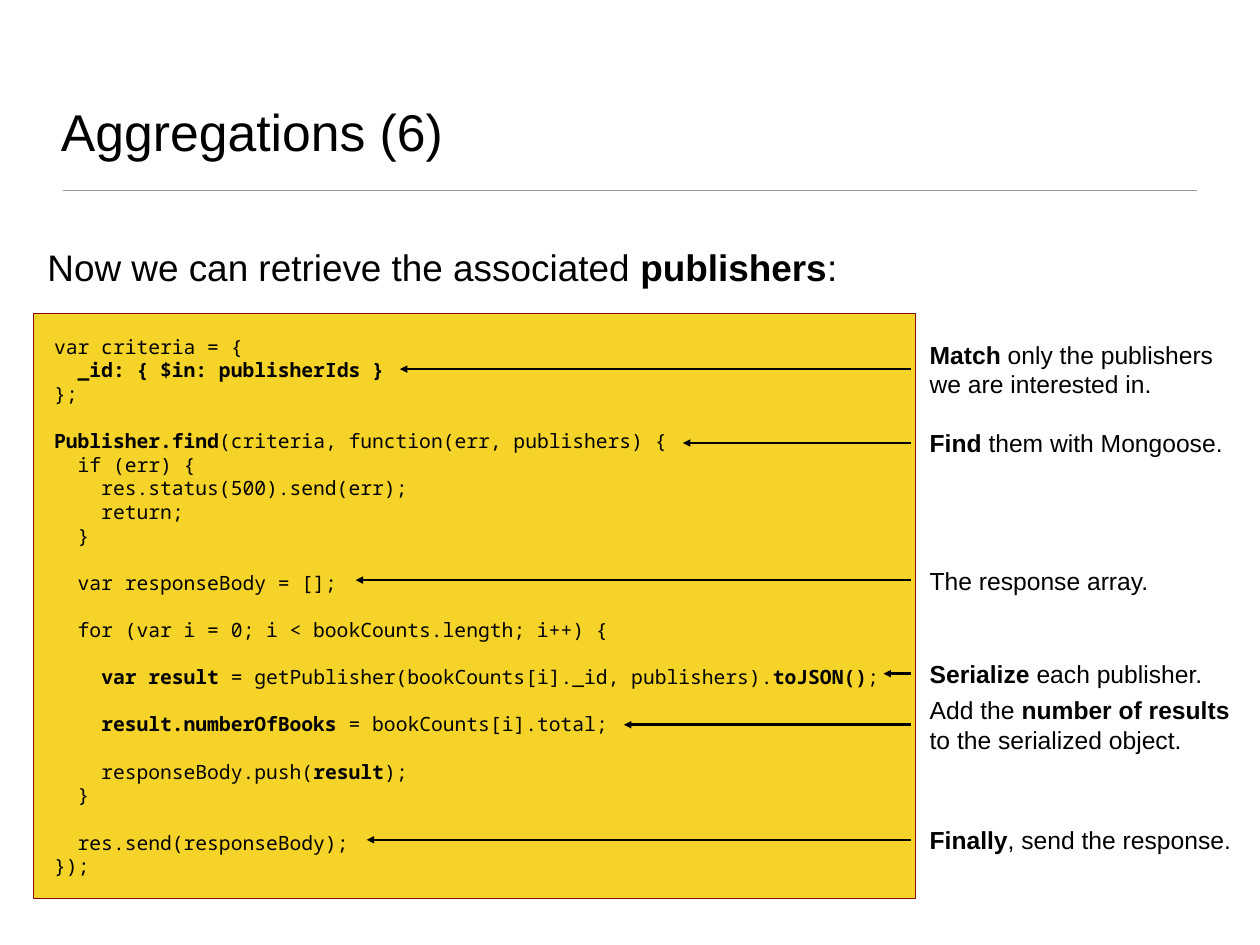
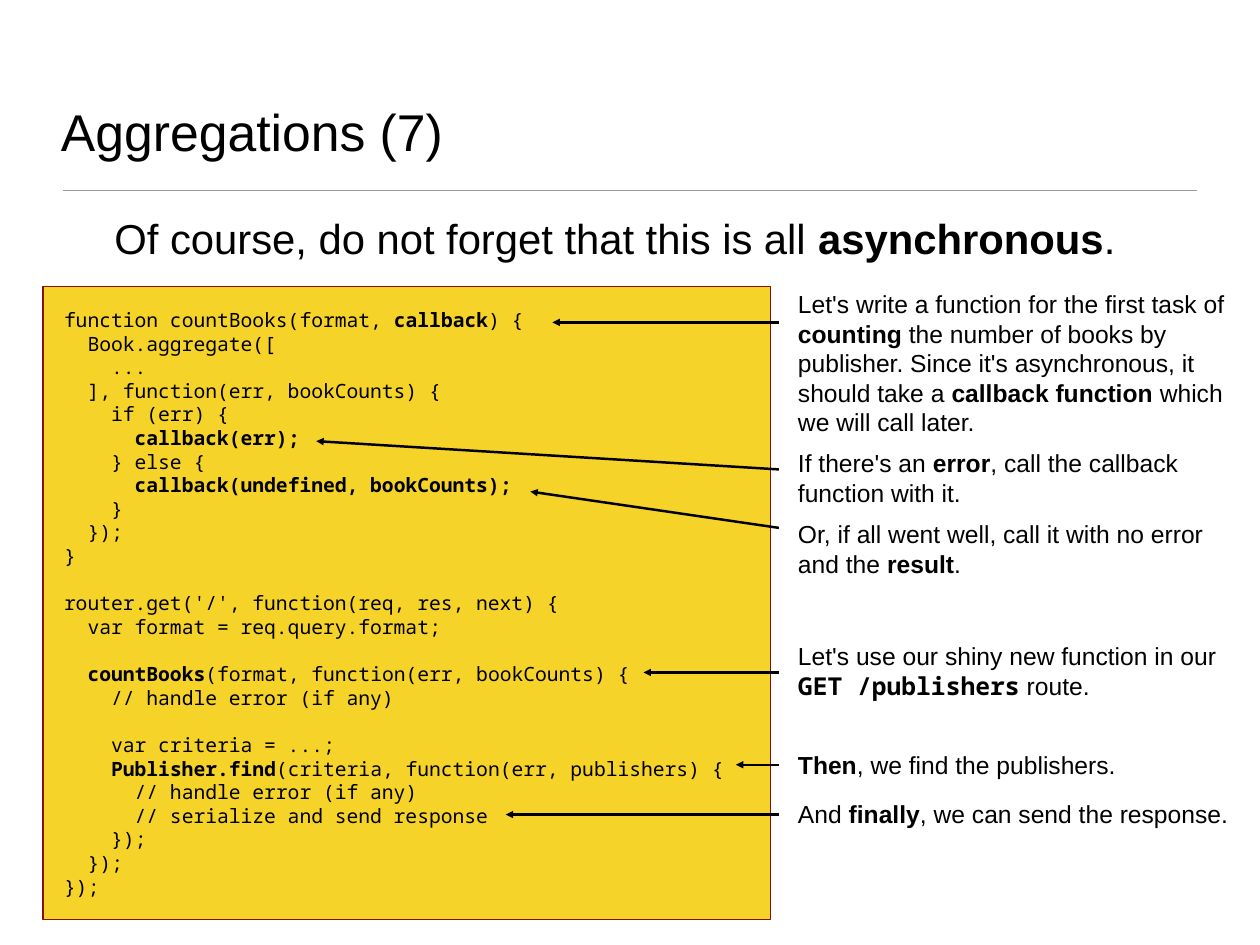
from lxml import etree
from pptx import Presentation
from pptx.dml.color import RGBColor
from pptx.enum.shapes import MSO_CONNECTOR, MSO_SHAPE
from pptx.enum.text import MSO_ANCHOR, MSO_AUTO_SIZE, PP_ALIGN
from pptx.oxml.ns import qn
from pptx.util import Pt

STRAIGHT, RECTANGLE = MSO_CONNECTOR.STRAIGHT, MSO_SHAPE.RECTANGLE
MIDDLE, BOTTOM = MSO_ANCHOR.MIDDLE, MSO_ANCHOR.BOTTOM
NO_AUTOFIT, LEFT = MSO_AUTO_SIZE.NONE, PP_ALIGN.LEFT

BLACK = RGBColor(0x00, 0x00, 0x00)
GRAY = RGBColor(0x9A, 0x9A, 0x9A)
YELLOW = RGBColor(0xF5, 0xD3, 0x28)
DARK_RED = RGBColor(0x85, 0x10, 0x01)

TEXT_FONT, CODE_FONT = "Arial", "Noto Sans Mono"
LINE_HEIGHT = 1.2
TEXT_INSET, CODE_INSET = 4.5, 17
ARROW_GAP = 11
TITLE_ONLY = 5

FIND_CODE = """\
var criteria = {
  **_id: { $in: publisherIds }**
};

**Publisher.find**(criteria, function(err, publishers) {
  if (err) {
    res.status(500).send(err);
    return;
  }

  var responseBody = [];

  for (var i = 0; i < bookCounts.length; i++) {

    **var result** = getPublisher(bookCounts[i]._id, publishers).**toJSON()**;

    **result.numberOfBooks** = bookCounts[i].total;

    responseBody.push(**result**);
  }

  res.send(responseBody);
});"""

ASYNC_CODE = """\
function countBooks(format, **callback**) {
  Book.aggregate([
    ...
  ], function(err, bookCounts) {
    if (err) {
      **callback(err);**
    } else {
      **callback(undefined, bookCounts);**
    }
  });
}

router.get('/', function(req, res, next) {
  var format = req.query.format;

  **countBooks**(format, function(err, bookCounts) {
    // handle error (if any)

    var criteria = ...;
    **Publisher.find**(criteria, function(err, publishers) {
      // handle error (if any)
      // serialize and send response
    });
  });
});"""

# Each callout: text, vertical centre, height, arrow tip x,
# then the arrow's start and tip heights where they differ from the centre.
FIND_CALLOUTS = [
    ("**Match** only the publishers we are interested in.", 300, 56, 325),
    ("**Find** them with Mongoose.", 360, 56, 555),
    ("The response array.", 471.5, 32, 289),
    ("**Serialize** each publisher.", 547.5, 32, 718),
    ("Add the **number of results** to the serialized object.", 589, 80, 507),
    ("**Finally**, send the response.", 682.5, 56, 298),
]

ASYNC_CALLOUTS = [
    ("Let's write a function for the first task of **counting** the number of "
     "books by publisher. Since it's asynchronous, it should take a "
     "**callback function** which we will call later.", 295, 152, 449, 262, 262),
    ("If there's an **error**, call the callback function with it.",
     388, 56, 257, 381.5, 358.5),
    ("Or, if all went well, call it with no error and the **result**.",
     446, 56, 431, 429, 399.5),
    ("Let's use our shiny new function in our **`GET /publishers** route.",
     545, 56, 523, 546.5, 546.5),
    ("**Then**, we find the publishers.", 621.5, 32, 598),
    ("And **finally**, we can send the response.", 661, 56, 411, 662, 662),
]


def set_formats(target, formats):
    for name, value in formats.items():
        setattr(target, name, value)


class Deck:
    def __init__(self):
        self.presentation = Presentation()
        set_formats(self.presentation,
                    {"slide_width": Pt(1024), "slide_height": Pt(768)})
        self.slide = None

    def add_slide(self, title):
        layout = self.presentation.slide_layouts[TITLE_ONLY]
        self.slide = self.presentation.slides.add_slide(layout)
        self.line((51, 155), (973, 155), GRAY, 1)
        placeholder = self.slide.shapes.title
        set_formats(placeholder, {"left": Pt(45), "top": Pt(26),
                                  "width": Pt(934), "height": Pt(110)})
        self.fill_text(placeholder, title, 42, anchor=BOTTOM)

    def fill_text(self, shape, text, size, font=TEXT_FONT, inset=TEXT_INSET,
                  anchor=MIDDLE):
        """Fill the shape; ** toggles bold and a leading ` marks a code piece."""
        frame = shape.text_frame
        margins = {f"margin_{side}": Pt(inset)
                   for side in ("left", "top", "right", "bottom")}
        set_formats(frame, {"word_wrap": True, "auto_size": NO_AUTOFIT,
                            "vertical_anchor": anchor, **margins})
        for number, line in enumerate(text.split("\n")):
            paragraph = frame.add_paragraph() if number else frame.paragraphs[0]
            set_formats(paragraph, {"alignment": LEFT,
                                    "line_spacing": Pt(size * LINE_HEIGHT)})
            for index, piece in enumerate(line.split("**")):
                if not piece:
                    continue
                run = paragraph.add_run()
                run.text = piece.lstrip("`")
                set_formats(run.font, {
                    "name": CODE_FONT if piece.startswith("`") else font,
                    "size": Pt(size), "bold": index % 2 == 1})
                run.font.color.rgb = BLACK

    def text(self, text, left, top, width, height, size):
        box = self.slide.shapes.add_textbox(Pt(left), Pt(top), Pt(width), Pt(height))
        self.fill_text(box, text, size)

    def code(self, code, left, top, width, height):
        shape = self.slide.shapes.add_shape(
            RECTANGLE, Pt(left), Pt(top), Pt(width), Pt(height))
        shape.shadow.inherit = False
        shape.fill.solid()
        shape.fill.fore_color.rgb = YELLOW
        shape.line.color.rgb = DARK_RED
        shape.line.width = Pt(1)
        self.fill_text(shape, code, 16, CODE_FONT, CODE_INSET)

    def line(self, start, end, color, width, arrow=False):
        connector = self.slide.shapes.add_connector(
            STRAIGHT, *(Pt(value) for value in (*start, *end)))
        connector.line.color.rgb = color
        connector.line.width = Pt(width)
        properties = connector._element.spPr
        if arrow:
            etree.SubElement(properties.find(qn("a:ln")), qn("a:tailEnd"),
                             type="triangle")
        etree.SubElement(properties, qn("a:effectLst"))

    def callouts(self, callouts, left, width):
        for text, centre, height, tip, *arrow_heights in callouts:
            start_y, tip_y = arrow_heights or (centre, centre)
            self.line((left - ARROW_GAP, start_y), (tip, tip_y), BLACK, 2, arrow=True)
            self.text(text, left, centre - height / 2, width, height, 20)


def main():
    deck = Deck()

    deck.add_slide("Aggregations (6)")
    deck.code(FIND_CODE, 27, 255, 717, 475)
    deck.text("Now we can retrieve the associated **publishers**:",
              34, 195, 934, 44, 30)
    deck.callouts(FIND_CALLOUTS, 751, 256)

    deck.add_slide("Aggregations (7)")
    deck.code(ASYNC_CODE, 35, 233, 591, 514)
    deck.text("Of course, do not forget that this is all **asynchronous**.",
              88.5, 149, 846, 89, 34)
    deck.callouts(ASYNC_CALLOUTS, 644, 359)

    deck.presentation.save("out.pptx")


if __name__ == "__main__":
    main()
